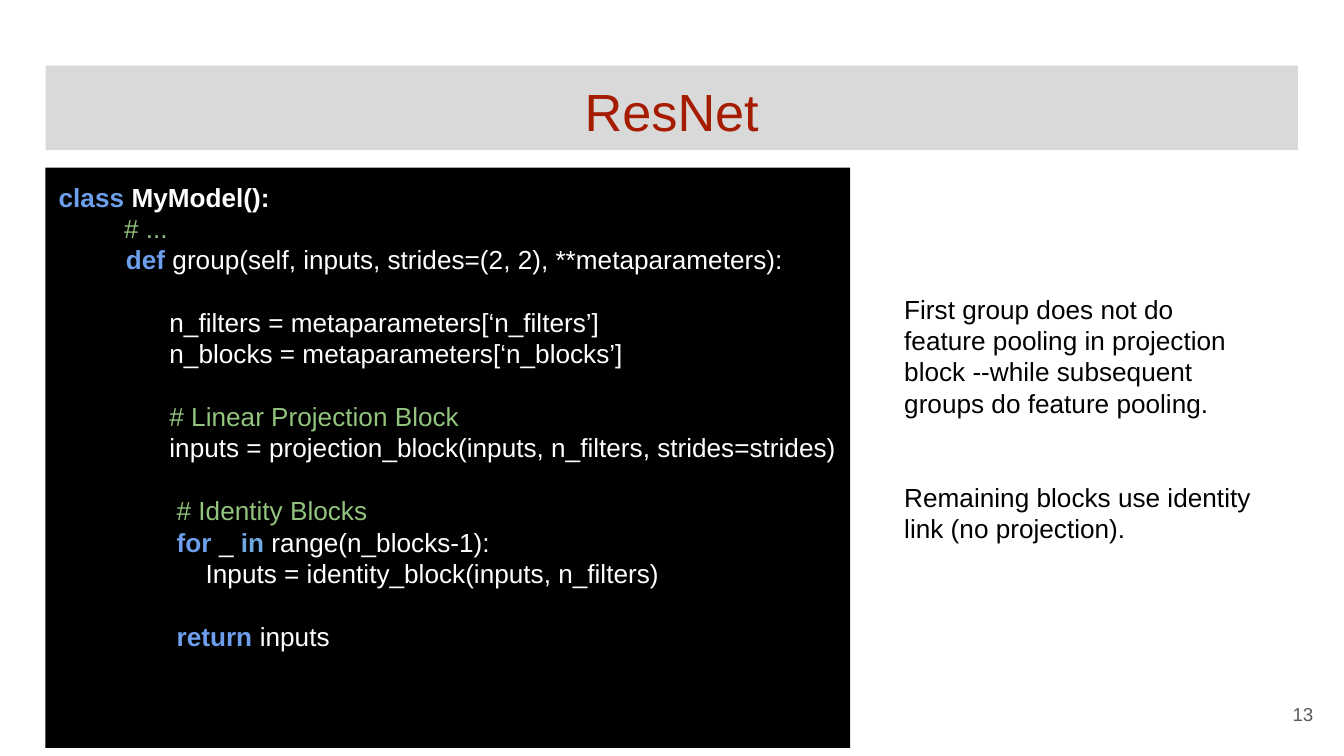
import pptx
import pptx.util
from pptx.dml.color import RGBColor
from pptx.enum.shapes import MSO_SHAPE
from pptx.enum.text import MSO_ANCHOR, MSO_AUTO_SIZE, PP_ALIGN
from pptx.util import Cm

BLACK = RGBColor(0x00, 0x00, 0x00)
WHITE = RGBColor(0xFF, 0xFF, 0xFF)
BAND_GREY = RGBColor(0xD9, 0xD9, 0xD9)
NUMBER_GREY = RGBColor(0x59, 0x59, 0x59)
TITLE_RED = RGBColor(0xA6, 0x1C, 0x00)
KEYWORD_BLUE = RGBColor(0x6D, 0x9E, 0xEB)
OPERATOR_BLUE = RGBColor(0x6F, 0xA8, 0xDC)
COMMENT_GREEN = RGBColor(0x93, 0xC4, 0x7D)

PLAIN = (WHITE, False)
NAME = (WHITE, True)
KEYWORD = (KEYWORD_BLUE, True)
OPERATOR = (OPERATOR_BLUE, True)
COMMENT = (COMMENT_GREEN, False)

BODY_INDENT = Cm(1.27)

CODE_LINES = [
    (0, 0, [("class ", KEYWORD), ("MyModel():", NAME)]),
    (0, 0, [("         ", NAME), ("# ...", COMMENT)]),
    (1, 0, [("def ", KEYWORD),
            ("group(self, inputs, strides=(2, 2), **metaparameters):", PLAIN)]),
    (1, 1, [("      n_filters = metaparameters[‘n_filters’]", PLAIN)]),
    (1, 0, [("      n_blocks = metaparameters[‘n_blocks’]", PLAIN)]),
    (1, 1, [("      # Linear Projection Block", COMMENT)]),
    (1, 0, [("      inputs = projection_block(inputs, n_filters, strides=strides)", PLAIN)]),
    (1, 1, [("       # Identity Blocks", COMMENT)]),
    (1, 0, [("       for ", KEYWORD), ("_ ", PLAIN), ("in ", OPERATOR),
            ("range(n_blocks-1):", PLAIN)]),
    (1, 0, [("           Inputs = identity_block(inputs, n_filters)", PLAIN)]),
    (1, 1, [("       return", KEYWORD), (" inputs", PLAIN)]),
]

NOTES = [
    "First group does not do feature pooling in projection block "
    "--while subsequent groups do feature pooling.",
    "Remaining blocks use identity link (no projection).",
]


class LessonSlide:
    font_name = "Arial"
    text_size = 14
    line_ratio = 1.2
    inset = Cm(0.25)

    def __init__(self, slide):
        self.slide = slide

    def line_height(self, size):
        return pptx.util.Pt(size * self.line_ratio)

    def prepare(self, frame, anchor=MSO_ANCHOR.TOP):
        frame.word_wrap = True
        frame.auto_size = MSO_AUTO_SIZE.NONE
        frame.vertical_anchor = anchor
        frame.margin_left = frame.margin_right = self.inset
        frame.margin_top = frame.margin_bottom = self.inset

    def style_paragraph(self, paragraph, size, align=PP_ALIGN.LEFT, blank_lines=0):
        paragraph.alignment = align
        paragraph.line_spacing = self.line_height(size)
        paragraph.space_before = self.line_height(size) * blank_lines
        paragraph.space_after = 0

    def style_run(self, run, size, color, bold=False):
        run.font.name = self.font_name
        run.font.size = pptx.util.Pt(size)
        run.font.color.rgb = color
        run.font.bold = bold

    def title(self, wording, left, top, width, height):
        heading = self.slide.shapes.title
        heading.left, heading.top, heading.width, heading.height = left, top, width, height
        heading.fill.solid()
        heading.fill.fore_color.rgb = BAND_GREY
        frame = heading.text_frame
        frame.text = wording
        self.prepare(frame)
        self.style_paragraph(frame.paragraphs[0], 28, PP_ALIGN.CENTER)
        self.style_run(frame.paragraphs[0].runs[0], 28, TITLE_RED)

    def code(self, lines, left, top, width, height):
        panel = self.slide.shapes.add_shape(MSO_SHAPE.RECTANGLE, left, top, width, height)
        panel.shadow.inherit = False
        panel.fill.solid()
        panel.fill.fore_color.rgb = BLACK
        panel.line.fill.background()
        frame = panel.text_frame
        self.prepare(frame)
        for index, (level, blank_lines, spans) in enumerate(lines):
            line = frame.add_paragraph() if index else frame.paragraphs[0]
            self.style_paragraph(line, self.text_size, blank_lines=blank_lines)
            properties = line._p.get_or_add_pPr()
            properties.set("marL", str(level * BODY_INDENT))
            properties.set("indent", "0")
            for wording, (color, bold) in spans:
                span = line.add_run()
                span.text = wording
                self.style_run(span, self.text_size, color, bold)

    def text(self, wordings, left, top, width, height, size=text_size, color=BLACK,
             align=PP_ALIGN.LEFT, anchor=MSO_ANCHOR.TOP, blank_lines=0, lines_above=0):
        frame = self.slide.shapes.add_textbox(left, top, width, height).text_frame
        self.prepare(frame, anchor)
        frame.margin_top = self.inset + self.line_height(size) * lines_above
        frame.text = "\n".join(wordings)
        for index, paragraph in enumerate(frame.paragraphs):
            self.style_paragraph(paragraph, size, align, blank_lines if index else 0)
            self.style_run(paragraph.runs[0], size, color)


def main():
    deck = pptx.Presentation()
    deck.slide_width, deck.slide_height = Cm(25.4), Cm(14.29)
    lesson = LessonSlide(deck.slides.add_slide(deck.slide_layouts[5]))
    lesson.title("ResNet", Cm(0.86), Cm(1.24), Cm(23.67), Cm(1.6))
    lesson.code(CODE_LINES, Cm(0.86), Cm(3.17), Cm(15.21), Cm(10.97))
    lesson.text(NOTES, Cm(16.84), Cm(3.51), Cm(7.21), Cm(10.03),
                blank_lines=2, lines_above=3)
    lesson.text(["13"], Cm(23.55), Cm(12.95), Cm(1.52), Cm(1.09), size=10,
                color=NUMBER_GREY, align=PP_ALIGN.RIGHT, anchor=MSO_ANCHOR.MIDDLE)
    deck.save("out.pptx")


if __name__ == "__main__":
    main()
